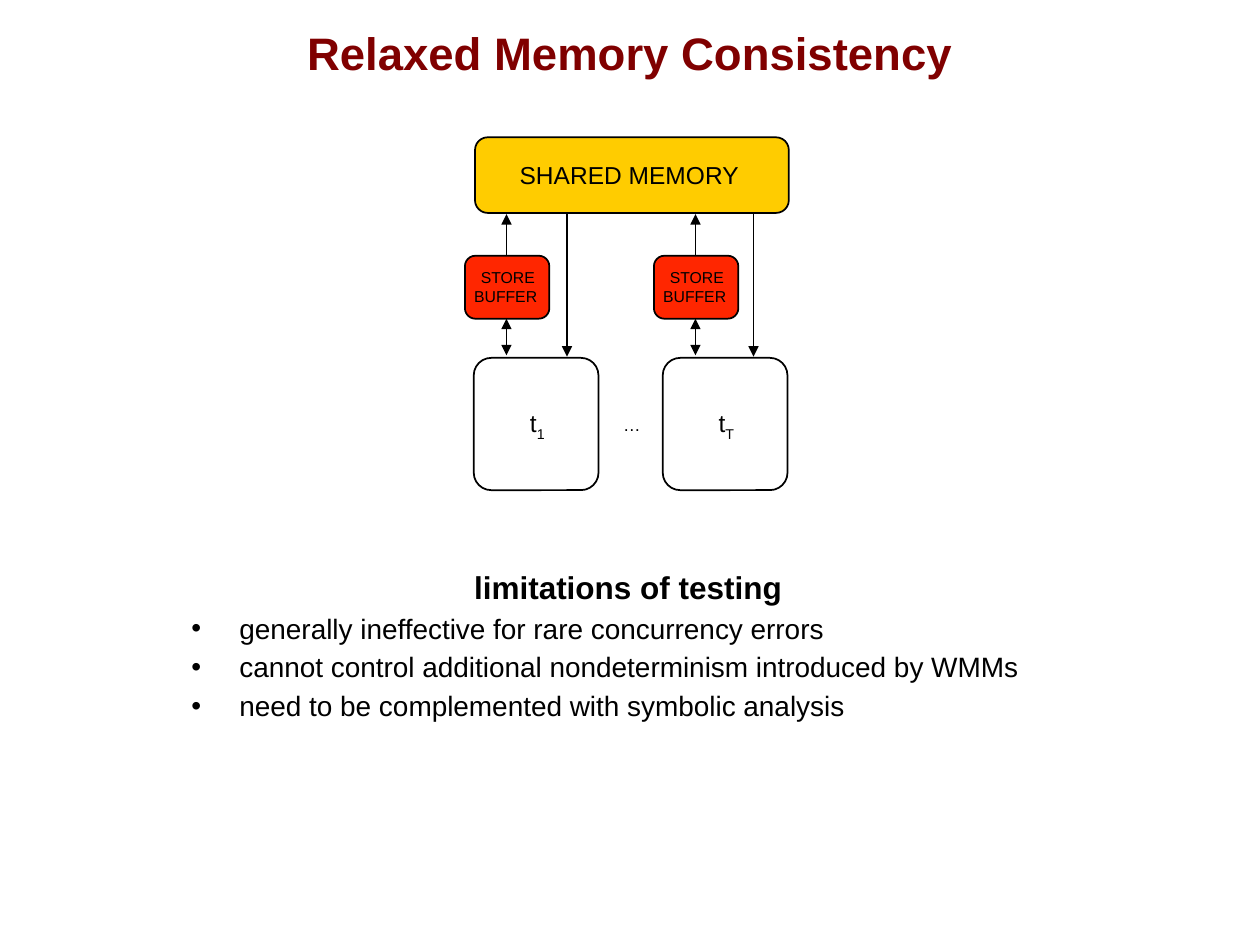
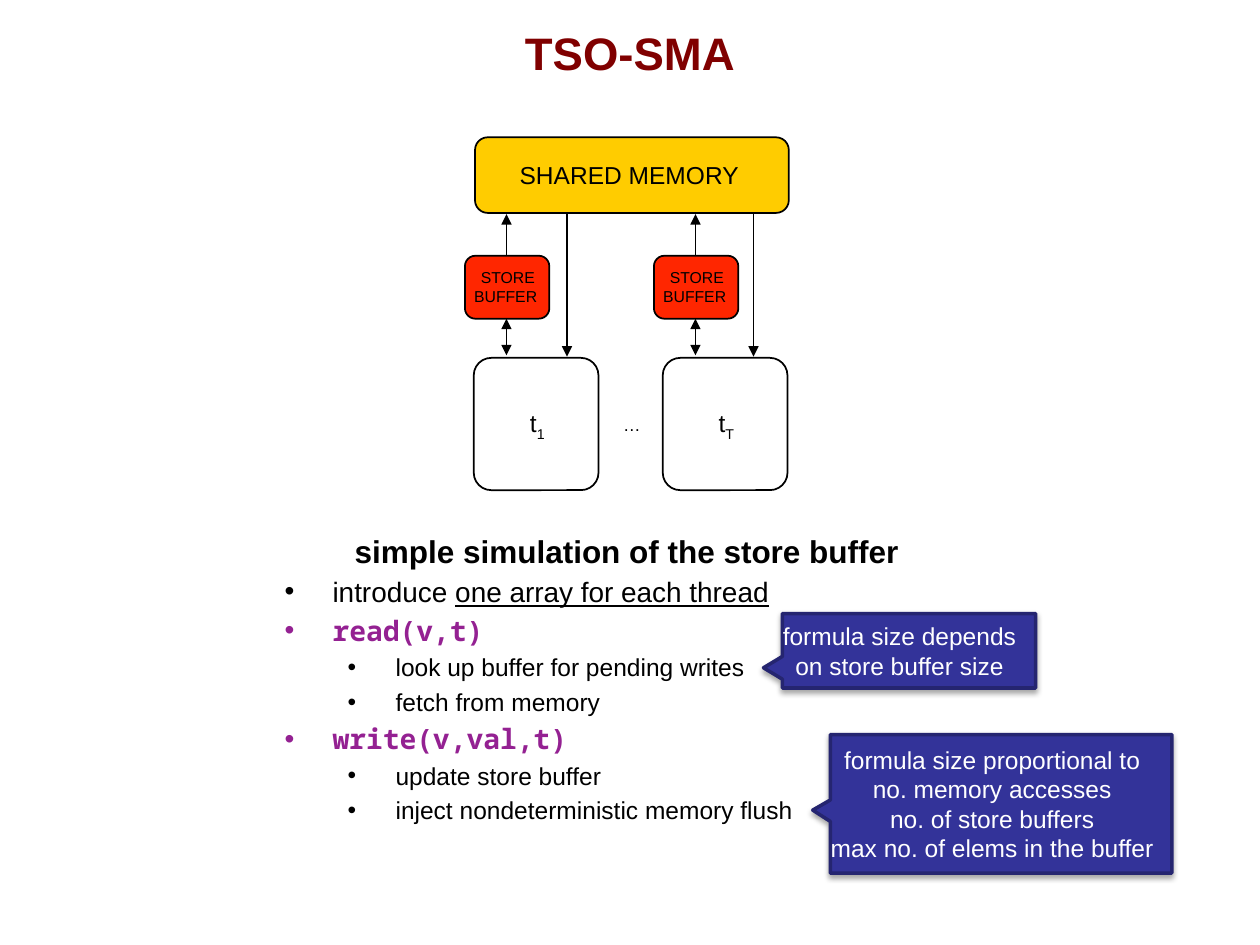
from dataclasses import dataclass

from lxml import etree
from pptx import Presentation
from pptx import util as u
from pptx.dml.color import RGBColor
from pptx.enum import shapes, text
from pptx.oxml.ns import qn


@dataclass(frozen=True)
class Theme:
    font: str = "Arial"
    code_font: str = "Noto Sans Mono"
    black: str = "000000"
    white: str = "FFFFFF"
    title: str = "800000"
    memory: str = "FFCC00"
    buffer: str = "FF2600"
    code: str = "942192"
    callout: str = "333399"
    callout_edge: str = "252570"
    title_size: int = 26
    heading_size: int = 18
    bullet_size: int = 16
    label_size: int = 14
    dots_size: int = 10
    buffer_size: int = 9
    inset: float = 0.05
    line: float = 1
    callout_line: float = 2


THEME = Theme()
CENTER = text.PP_ALIGN.CENTER
LEFT = text.PP_ALIGN.LEFT
MIDDLE = text.MSO_ANCHOR.MIDDLE
TOP = text.MSO_ANCHOR.TOP
THREAD_STEP = 1.5
THREADS = [("1", 4.5), ("T", 5.98)]


def prepare_frame(shape, anchor=MIDDLE, wrap=True, grow=False):
    frame = shape.text_frame
    frame.word_wrap = wrap
    frame.vertical_anchor = anchor
    frame.auto_size = text.MSO_AUTO_SIZE.SHAPE_TO_FIT_TEXT if grow else text.MSO_AUTO_SIZE.NONE
    inset = u.Inches(THEME.inset)
    frame.margin_left = frame.margin_right = inset
    frame.margin_top = frame.margin_bottom = inset
    return frame


def add_run(paragraph, words, size=THEME.label_size, color=THEME.black, font=THEME.font,
            bold=False, underline=False, subscript=False):
    run = paragraph.add_run()
    run.text = words
    run.font.size = u.Pt(size)
    run.font.name = font
    run.font.bold = bold
    run.font.underline = underline
    run.font.color.rgb = RGBColor.from_string(color)
    if subscript:
        run.font._element.set("baseline", "-30000")


def write_text(paragraph, words, align=CENTER, space=0, **run_format):
    paragraph.alignment = align
    paragraph.space_before = u.Pt(space)
    add_run(paragraph, words, **run_format)


def write_lines(frame, lines, **run_format):
    for index, line in enumerate(lines):
        paragraph = frame.add_paragraph() if index else frame.paragraphs[0]
        write_text(paragraph, line, **run_format)


def add_label(slide, box, lines, anchor=MIDDLE, wrap=True, grow=True, **run_format):
    label = slide.shapes.add_textbox(*map(u.Inches, box))
    frame = prepare_frame(label, anchor, wrap, grow)
    write_lines(frame, lines, **run_format)
    return frame


def paint(shape, fill, edge=THEME.black, width=THEME.line):
    shape.shadow.inherit = False
    shape.fill.solid()
    shape.fill.fore_color.rgb = RGBColor.from_string(fill)
    shape.line.color.rgb = RGBColor.from_string(edge)
    shape.line.width = u.Pt(width)


def add_box(slide, box, fill, rounding=0.167):
    shape = slide.shapes.add_shape(shapes.MSO_SHAPE.ROUNDED_RECTANGLE, *map(u.Inches, box))
    shape.adjustments[0] = rounding
    paint(shape, fill)


def add_arrow(slide, x, start, end, both_ends=False):
    arrow = slide.shapes.add_connector(
        shapes.MSO_CONNECTOR.STRAIGHT, *map(u.Inches, (x, start, x, end)))
    arrow.line.color.rgb = RGBColor.from_string(THEME.black)
    arrow.line.width = u.Pt(THEME.line)
    outline = arrow.line._get_or_add_ln()
    for tag in ("a:headEnd", "a:tailEnd") if both_ends else ("a:tailEnd",):
        etree.SubElement(outline, qn(tag), type="triangle")
    etree.SubElement(arrow._element.spPr, qn("a:effectLst"))


def add_callout(slide, left, top, right, bottom, tip, lines):
    tip_x, tip_y, tip_top, tip_bottom = tip
    outline = [(left, tip_top), (tip_x, tip_y), (left, tip_bottom),
               (left, bottom), (right, bottom), (right, top)]
    builder = slide.shapes.build_freeform(u.Inches(left), u.Inches(top))
    builder.add_line_segments([(u.Inches(x), u.Inches(y)) for x, y in outline], close=True)
    callout = builder.convert_to_shape()
    paint(callout, THEME.callout, THEME.callout_edge, THEME.callout_line)
    effects = callout._element.spPr.find(qn("a:effectLst"))
    shadow = etree.SubElement(effects, qn("a:outerShdw"), blurRad=str(u.Pt(3)),
                              dist=str(u.Pt(1.8)), dir="5400000", rotWithShape="0")
    color = etree.SubElement(shadow, qn("a:srgbClr"), val=THEME.black)
    etree.SubElement(color, qn("a:alpha"), val="35000")
    write_lines(prepare_frame(callout), lines, color=THEME.white)


def add_title(presentation, words):
    slide = presentation.slides.add_slide(presentation.slide_layouts[5])
    title = slide.shapes.title
    title.left, title.top, title.width, title.height = map(u.Inches, (0, 0, 10, 0.83))
    write_lines(prepare_frame(title), [words],
                size=THEME.title_size, color=THEME.title, bold=True)
    return slide


def add_bullet(frame, words, level=0, **run_format):
    paragraph = frame.add_paragraph()
    properties = paragraph._p.get_or_add_pPr()
    properties.set("marL", str(u.Inches(0.38 + 0.5 * level)))
    properties.set("indent", str(u.Inches(-0.38)))
    etree.SubElement(properties, qn("a:buFont"), typeface=THEME.font)
    etree.SubElement(properties, qn("a:buChar"), char="•")
    paragraph.level = level
    size = THEME.label_size if level else THEME.bullet_size
    write_text(paragraph, words, align=LEFT, space=3, size=size, **run_format)
    return paragraph


def add_body(slide, box, heading):
    return add_label(slide, box, [heading], anchor=TOP, grow=False,
                     size=THEME.heading_size, bold=True)


def add_thread(slide, shift, subscript, read_x):
    add_arrow(slide, read_x, 1.7, 2.83)
    add_box(slide, (3.76 + shift, 2.84, 0.99, 1.05), THEME.white, 0.14)
    name = add_label(slide, (3.93 + shift, 3.19, 0.67, 0.36), ["t"], anchor=TOP)
    add_run(name.paragraphs[0], subscript, subscript=True)
    add_box(slide, (3.69 + shift, 2.03, 0.67, 0.5), THEME.buffer)
    add_label(slide, (3.69 + shift, 2.09, 0.68, 0.37), ["STORE", "BUFFER "],
              wrap=False, size=THEME.buffer_size)
    add_arrow(slide, 4.02 + shift, 2.82, 2.53, both_ends=True)
    add_arrow(slide, 4.02 + shift, 2.03, 1.7)


def add_memory_diagram(slide):
    add_box(slide, (3.77, 1.09, 2.49, 0.6), THEME.memory)
    add_label(slide, (4.06, 1.23, 1.87, 0.32), ["SHARED MEMORY"], grow=False)
    for index, (subscript, read_x) in enumerate(THREADS):
        add_thread(slide, index * THREAD_STEP, subscript, read_x)
    add_label(slide, (4.43, 3.24, 1.17, 0.25), ["…"], size=THEME.dots_size)


def build_consistency_slide(presentation):
    slide = add_title(presentation, "Relaxed Memory Consistency")
    add_memory_diagram(slide)
    body = add_body(slide, (1.47, 4.46, 7.03, 2.76), "limitations of testing")
    for words in ("generally ineffective for rare concurrency errors",
                  "cannot control additional nondeterminism introduced by WMMs",
                  "need to be complemented with symbolic analysis"):
        add_bullet(body, words)


def build_simulation_slide(presentation):
    slide = add_title(presentation, "TSO-SMA")
    add_memory_diagram(slide)
    body = add_body(slide, (2.21, 4.17, 5.53, 3.16), "simple simulation of the store buffer")
    introduction = add_bullet(body, "introduce ")
    add_run(introduction, "one array for each thread", size=THEME.bullet_size, underline=True)
    operations = {
        "read(v,t)": ("look up buffer for pending writes", "fetch from memory"),
        "write(v,val,t)": ("update store buffer", "inject nondeterministic memory flush"),
    }
    for call, steps in operations.items():
        add_bullet(body, call, font=THEME.code_font, color=THEME.code, bold=True)
        for step in steps:
            add_bullet(body, step, level=1)
    add_callout(slide, 6.21, 4.87, 8.22, 5.46, (6.06, 5.3, 5.21, 5.39),
                ["formula size depends", "on store buffer size"])
    add_callout(slide, 6.59, 5.83, 9.3, 6.93, (6.45, 6.43, 6.35, 6.52),
                ["formula size proportional to", "no. memory accesses",
                 "no. of store buffers", "max no. of elems in the buffer"])


def main():
    presentation = Presentation()
    presentation.slide_width = u.Inches(10)
    presentation.slide_height = u.Inches(7.5)
    build_consistency_slide(presentation)
    build_simulation_slide(presentation)
    presentation.save("out.pptx")


if __name__ == "__main__":
    main()
